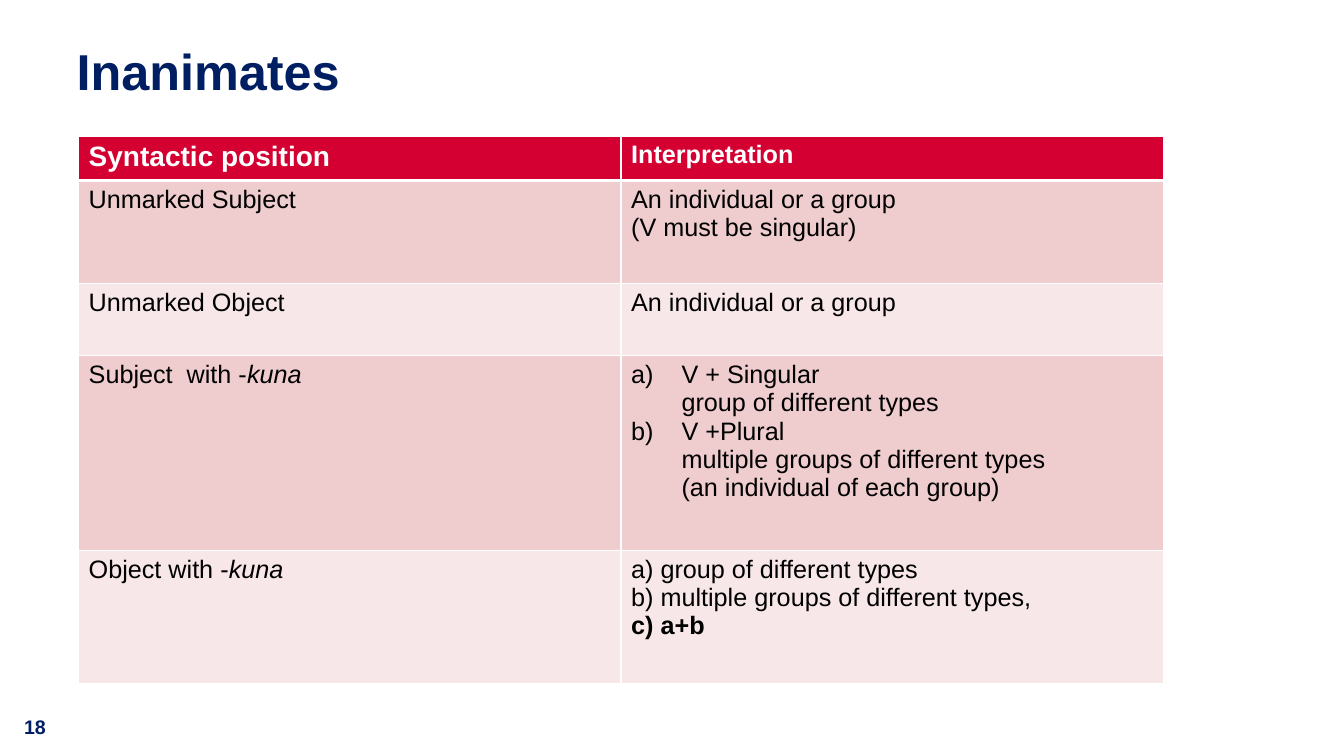
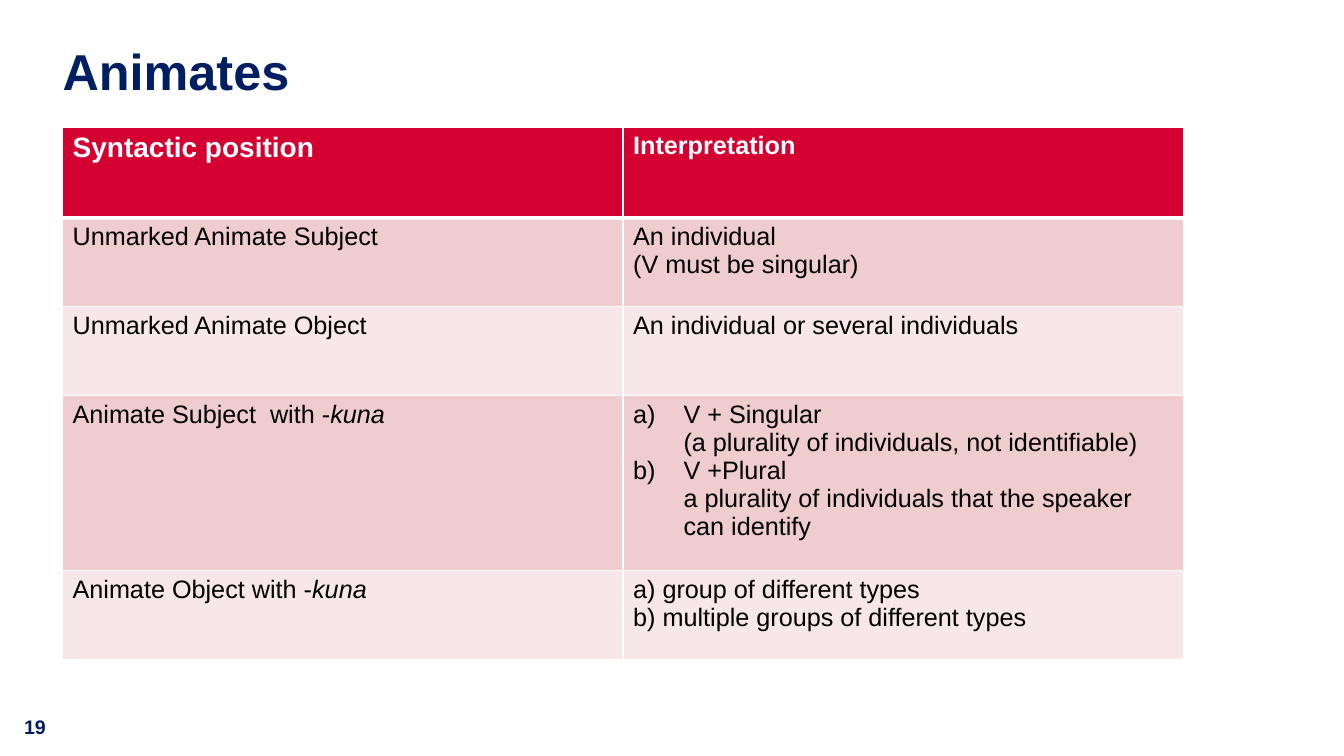
from dataclasses import dataclass

from lxml import etree
from pptx import Presentation, util as u
from pptx.dml.color import RGBColor
from pptx.enum import text
from pptx.oxml import ns

FONT = "Arial"
COLORS = {
    "navy": "001E62",
    "red": "D40032",
    "rose": "EFCCCE",
    "blush": "F7E7E8",
    "white": "FFFFFF",
    "black": "000000",
}
THIN, THICK = 1, 3


@dataclass(frozen=True)
class Run:
    words: str
    size: float = 18
    bold: bool = False
    slant: bool = False
    color: str = "black"


@dataclass(frozen=True)
class Para:
    runs: tuple[Run, ...]
    listed: bool = False


Cell = tuple[Para, ...]


@dataclass(frozen=True)
class Page:
    title: str
    number: str
    indent: float
    left: float
    top: float
    width: float
    heights: tuple[float, ...]
    rows: tuple[tuple[Cell, Cell], ...]


def plain(*lines: str) -> Cell:
    return tuple(Para((Run(line),)) for line in lines)


def listed(*items: str) -> Cell:
    return tuple(Para((Run(item),), listed=True) for item in items)


def kuna(lead: str) -> Cell:
    """Label that ends in the italic suffix."""
    return (Para((Run(f"{lead} with -"), Run("kuna", slant=True))),)


def head(words: str, size: float) -> Cell:
    return (Para((Run(words, size, bold=True, color="white"),)),)


HEADER = (head("Syntactic position", 20), head("Interpretation", 18))

PAGES = (
    Page(
        "Inanimates", "18", 0.14, 0.78, 1.35, 10.76,
        (0.44, 1.02, 0.72, 1.93, 1.32),
        (
            HEADER,
            (plain("Unmarked Subject"),
             plain("An individual or a group", "(V must be singular)")),
            (plain("Unmarked Object"), plain("An individual or a group")),
            (kuna("Subject "),
             listed("V + Singular\ngroup of different types",
                    "V +Plural\nmultiple groups of different types\n"
                    "(an individual of each group)")),
            (kuna("Object"),
             plain("a) group of different types",
                   "b) multiple groups of different types,")
             + (Para((Run("c) a+b", bold=True),)),)),
        ),
    ),
    Page(
        "Animates", "19", 0, 0.62, 1.26, 11.12,
        (0.9, 0.88, 0.88, 1.74, 0.88),
        (
            HEADER,
            (plain("Unmarked Animate Subject"),
             plain("An individual", "(V must be singular)")),
            (plain("Unmarked Animate Object"),
             plain("An individual or several individuals")),
            (kuna("Animate Subject "),
             listed("V + Singular\n(a plurality of individuals, not identifiable)",
                    "V +Plural\na plurality of individuals that the speaker\n"
                    "can identify")),
            (kuna("Animate Object"),
             plain("a) group of different types",
                   "b) multiple groups of different types")),
        ),
    ),
)


def rgb(name: str) -> RGBColor:
    return RGBColor.from_string(COLORS[name])


def add_run(para, run: Run) -> None:
    for i, line in enumerate(run.words.split("\n")):
        if i:
            para.add_line_break()
        part = para.add_run()
        part.text = line
        font = part.font
        font.name, font.size = FONT, u.Pt(run.size)
        font.bold, font.italic = run.bold, run.slant
        font.color.rgb = rgb(run.color)


def add_letter(para) -> None:
    """Number a paragraph a), b) ... with a hanging indent."""
    props = para._p.get_or_add_pPr()
    props.set("marL", str(u.Inches(0.5)))
    props.set("indent", str(u.Inches(-0.5)))
    etree.SubElement(props, ns.qn("a:buFont"), typeface=FONT)
    etree.SubElement(props, ns.qn("a:buAutoNum"), type="alphaLcParenR")


def fill_text(frame, paras: Cell) -> None:
    for i, item in enumerate(paras):
        para = frame.add_paragraph() if i else frame.paragraphs[0]
        if item.listed:
            add_letter(para)
        for run in item.runs:
            add_run(para, run)


def add_edges(cell, top: float, bottom: float) -> None:
    props = cell._tc.get_or_add_tcPr()
    sides = {"lnL": THIN, "lnR": THIN, "lnT": top, "lnB": bottom}
    for side, width in sides.items():
        line = etree.SubElement(props, ns.qn(f"a:{side}"), w=str(u.Pt(width)))
        fill = etree.SubElement(line, ns.qn("a:solidFill"))
        etree.SubElement(fill, ns.qn("a:srgbClr"), val=COLORS["white"])


def add_box(slide, left: float, top: float, width: float, height: float,
            run: Run):
    box = slide.shapes.add_textbox(*map(u.Inches, (left, top, width, height)))
    frame = box.text_frame
    frame.word_wrap = True
    fill_text(frame, (Para((run,)),))
    return frame


def add_title(slide, words: str, indent: float) -> None:
    frame = add_box(slide, 0.62 + indent, 0.47, 12.08 - indent, 0.89,
                    Run(words, 36, bold=True, color="navy"))
    frame.margin_left = frame.margin_right = 0
    frame.margin_top = frame.margin_bottom = 0
    frame.vertical_anchor = text.MSO_ANCHOR.TOP
    frame.paragraphs[0].line_spacing = 0.9


def add_grid(slide, page: Page) -> None:
    size = (page.left, page.top, page.width, sum(page.heights))
    table = slide.shapes.add_table(
        len(page.rows), 2, *map(u.Inches, size)).table
    for col in table.columns:
        col.width = u.Inches(page.width / 2)
    for i, (height, row) in enumerate(zip(page.heights, page.rows)):
        table.rows[i].height = u.Inches(height)
        shade = "red" if i == 0 else "rose" if i % 2 else "blush"
        for j, paras in enumerate(row):
            cell = table.cell(i, j)
            add_edges(cell, THICK if i == 1 else THIN,
                      THICK if i == 0 else THIN)
            cell.fill.solid()
            cell.fill.fore_color.rgb = rgb(shade)
            fill_text(cell.text_frame, paras)


def main() -> None:
    deck = Presentation()
    deck.slide_width, deck.slide_height = u.Inches(13.33), u.Inches(7.5)
    for page in PAGES:
        slide = deck.slides.add_slide(deck.slide_layouts[6])
        add_title(slide, page.title, page.indent)
        add_grid(slide, page)
        add_box(slide, 0.14, 7.04, 0.66, 0.34,
                Run(page.number, 14, bold=True, color="navy"))
    deck.save("out.pptx")


if __name__ == "__main__":
    main()
